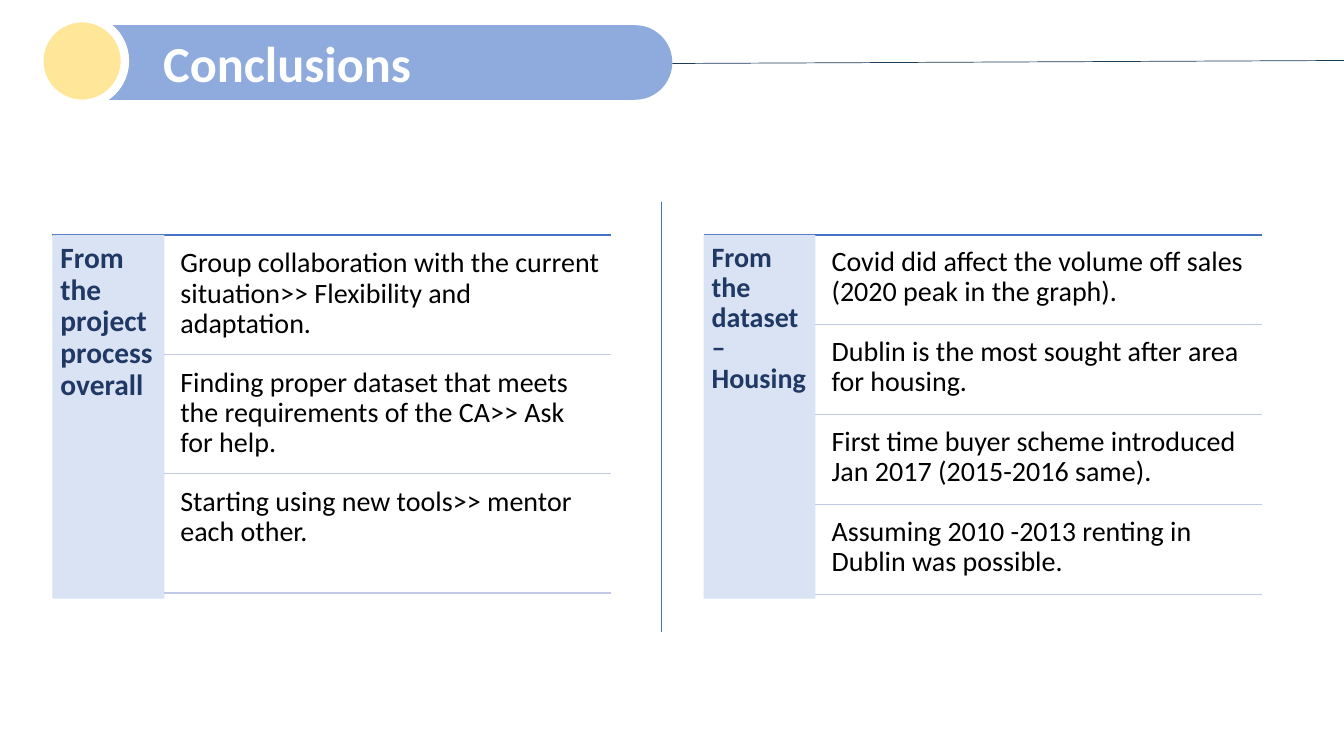
from pptx import Presentation
from pptx.dml.color import RGBColor
from pptx.enum.shapes import MSO_CONNECTOR, MSO_SHAPE
from pptx.enum.text import MSO_ANCHOR, PP_ALIGN
from pptx.oxml.ns import qn
from pptx.util import Inches, Pt
from lxml import etree

RECTANGLE = MSO_SHAPE.RECTANGLE
ROUNDED = MSO_SHAPE.ROUNDED_RECTANGLE
OVAL = MSO_SHAPE.OVAL
STRAIGHT = MSO_CONNECTOR.STRAIGHT
TOP, MIDDLE = MSO_ANCHOR.TOP, MSO_ANCHOR.MIDDLE
LEFT = PP_ALIGN.LEFT

COLUMNS, ROWS = 160, 90
PANEL_TOP, PANEL_WIDTH, PANEL_HEIGHT = 27.96, 66.48, 43.32
LABEL_WIDTH, POINT_INDENT = 13.32, 14.28
GAP_SHARE = 0.05  # gap between points, as a share of a point's height

PANELS = [
    (6.24, "From the project process overall", 21, [
        "Group collaboration with the current situation>> Flexibility and adaptation.",
        "Finding proper dataset that meets the requirements of the CA>> Ask for help.",
        "Starting using new tools>> mentor each other.",
    ]),
    (83.76, "From the dataset – Housing", 20, [
        "Covid did affect the volume off sales (2020 peak in the graph).",
        "Dublin is the most sought after area for housing.",
        "First time buyer scheme introduced Jan 2017 (2015-2016 same).",
        "Assuming 2010 -2013 renting in Dublin was possible.",
    ]),
]


def rgb(hex_colour):
    return RGBColor.from_string(hex_colour)


def write(shape, text, size=20, colour="000000", bold=False, anchor=TOP,
          spacing=0.9, inset=0.08, left_inset=None):
    frame = shape.text_frame
    frame.word_wrap = True
    frame.vertical_anchor = anchor
    frame.margin_left = Inches(inset if left_inset is None else left_inset)
    frame.margin_top = frame.margin_right = frame.margin_bottom = Inches(inset)
    paragraph = frame.paragraphs[0]
    paragraph.alignment = LEFT
    paragraph.line_spacing = spacing
    run = paragraph.add_run()
    run.text = text
    run.font.name = "Calibri"
    run.font.size = Pt(size)
    run.font.bold = bold
    run.font.color.rgb = rgb(colour)


class ConclusionsSlide:
    """Draws on one slide, with lengths in cells of a 160 by 90 grid."""

    bar, accent, white = "8FAADC", "FFE699", "FFFFFF"
    label_fill, label_text = "DAE3F3", "203864"
    strong_line, soft_line, title_line = "4472C4", "C1C9E4", "1B3C59"

    def __init__(self, deck):
        self.shapes = deck.slides.add_slide(deck.slide_layouts[6]).shapes
        self.column = deck.slide_width / COLUMNS
        self.row = deck.slide_height / ROWS

    def cells(self, *lengths):
        """Turn alternating columns and rows into slide lengths."""
        units = (self.column, self.row) * 2
        return [round(length * unit) for length, unit in zip(lengths, units)]

    def block(self, kind, box, fill, outline=None, outline_width=0):
        shape = self.shapes.add_shape(kind, *self.cells(*box))
        shape.shadow.inherit = False
        shape.fill.solid()
        shape.fill.fore_color.rgb = rgb(fill)
        if outline:
            shape.line.color.rgb = rgb(outline)
            shape.line.width = Pt(outline_width)
        else:
            shape.line.fill.background()
        return shape

    def text(self, box, words, **style):
        write(self.shapes.add_textbox(*self.cells(*box)), words, **style)

    def line(self, ends, colour, width=1):
        connector = self.shapes.add_connector(STRAIGHT, *self.cells(*ends))
        connector.line.color.rgb = rgb(colour)
        connector.line.width = Pt(width)
        etree.SubElement(connector._element.spPr, qn("a:effectLst"))

    def title(self, words):
        banner = self.block(ROUNDED, (4.68, 3, 75.36, 8.88), self.bar)
        banner.adjustments[0] = 0.5
        write(banner, words, size=36, colour=self.white, bold=True,
              anchor=MIDDLE, spacing=1.0, inset=0.05, left_inset=1.12)
        self.block(OVAL, (4.68, 2.16, 10.2, 10.2), self.accent, self.white, 6)
        self.line((80.04, 7.56, COLUMNS, 7.2), self.title_line, 0.5)

    def panel(self, left, label, label_size, points):
        """A label beside evenly spaced points, each with a line under it."""
        right = left + PANEL_WIDTH
        self.line((left, PANEL_TOP, right, PANEL_TOP), self.strong_line)
        label_box = self.block(
            RECTANGLE, (left, PANEL_TOP, LABEL_WIDTH, PANEL_HEIGHT), self.label_fill)
        write(label_box, label, size=label_size, colour=self.label_text, bold=True)

        count = len(points)
        height = PANEL_HEIGHT / (count + GAP_SHARE * (count + 1))
        gap = height * GAP_SHARE
        for index, point in enumerate(points):
            top = PANEL_TOP + gap + index * (height + gap)
            self.text((left + POINT_INDENT, top, PANEL_WIDTH - POINT_INDENT, height), point)
            bottom = top + height
            self.line((left + LABEL_WIDTH, bottom, right, bottom), self.soft_line)


def main():
    deck = Presentation()
    deck.slide_width, deck.slide_height = Inches(13.33), Inches(7.5)
    slide = ConclusionsSlide(deck)
    slide.title("Conclusions")
    for panel in PANELS:
        slide.panel(*panel)
    slide.line((78.72, 24, 78.72, 75.24), slide.strong_line, 0.5)
    deck.save("out.pptx")


if __name__ == "__main__":
    main()
